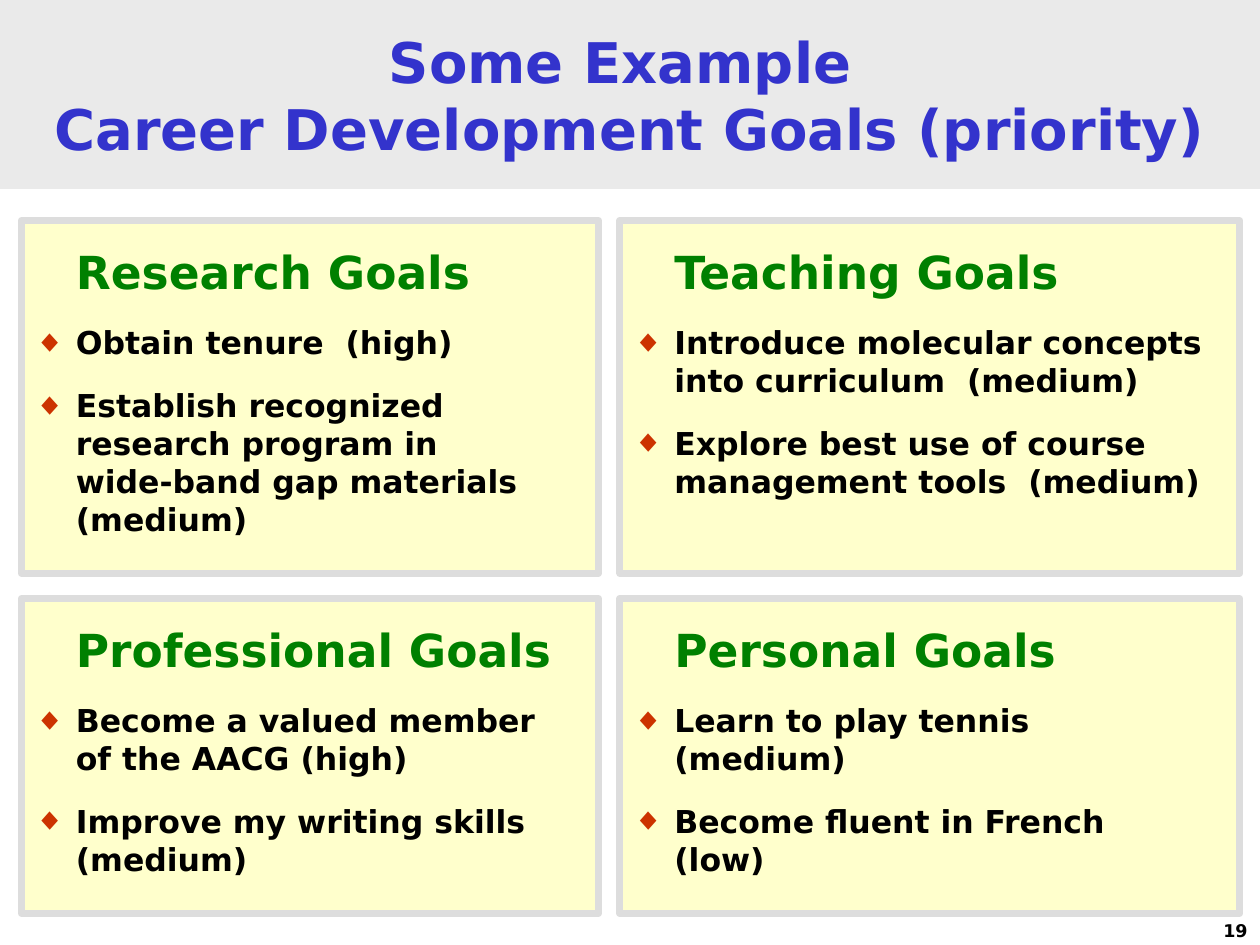
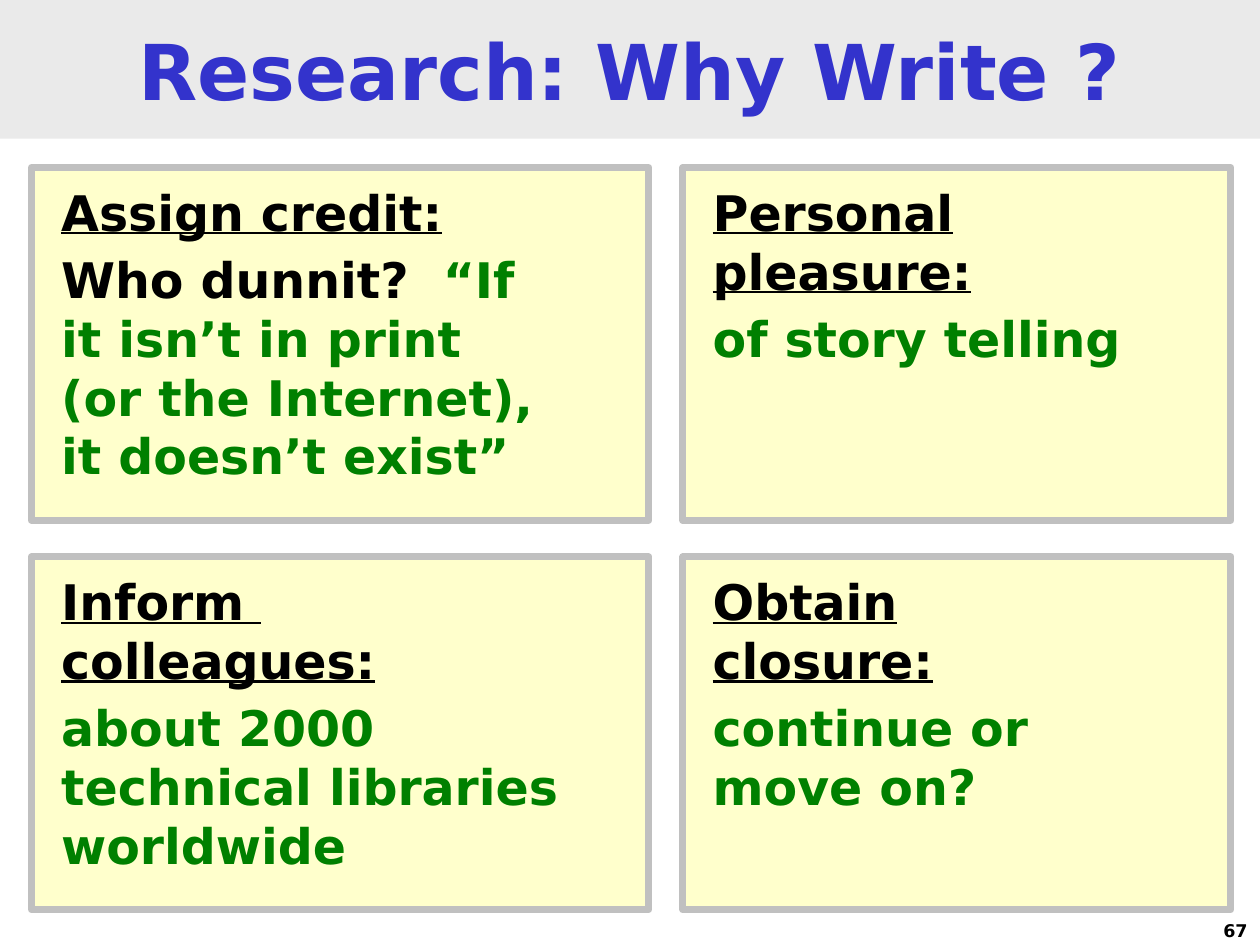
from itertools import product

from lxml.etree import SubElement
from pptx import Presentation
from pptx.dml.color import RGBColor
from pptx.enum.shapes import MSO_SHAPE as Shape
from pptx.enum.text import MSO_ANCHOR as Anchor, PP_ALIGN as Align
from pptx.oxml.ns import qn
from pptx.util import Pt

FONT = "DejaVu Sans"
BULLET_FONT = "Arial"

BLACK = RGBColor(0x00, 0x00, 0x00)
BLUE = RGBColor(0x33, 0x33, 0xCC)
GREEN = RGBColor(0x00, 0x80, 0x00)
RUST = RGBColor(0xCC, 0x33, 0x00)
BAND_GREY = RGBColor(0xEA, 0xEA, 0xEA)
CREAM = RGBColor(0xFF, 0xFF, 0xCC)
PALE_BORDER = RGBColor(0xDD, 0xDD, 0xDD)
SILVER_BORDER = RGBColor(0xC0, 0xC0, 0xC0)

SLIDE_W, SLIDE_H = 720, 540
BULLET_INDENT = 24

GOAL_HEADING = {"size": Pt(26)}
GOAL_ITEM = {"size": Pt(18)}
REASON_HEADING = {"size": Pt(28), "underline": True}
REASON_BODY = {"size": Pt(28)}
PAGE_NUMBER = {"size": Pt(10)}

# "\v" marks a line break inside a paragraph.
GOALS = [
    ("Research Goals", [
        "Obtain tenure  (high)",
        "Establish recognized\vresearch program in\vwide-band gap materials\v(medium)"]),
    ("Teaching Goals", [
        "Introduce molecular concepts\vinto curriculum  (medium)",
        "Explore best use of course\vmanagement tools  (medium)"]),
    ("Professional Goals", [
        "Become a valued member\vof the AACG (high)",
        "Improve my writing skills\v(medium)"]),
    ("Personal Goals", [
        "Learn to play tennis\v(medium)",
        "Become fluent in French\v(low)"]),
]

REASONS = [
    ("Assign credit:", [
        ("Who dunnit?  ", BLACK),
        ("“If\vit isn’t in print\v(or the Internet),\vit doesn’t exist”", GREEN)]),
    ("Personal\vpleasure:", [("of story telling", GREEN)]),
    ("Inform \vcolleagues:", [("about 2000\vtechnical libraries\vworldwide", GREEN)]),
    ("Obtain\vclosure:", [("continue or\vmove on?", GREEN)]),
]


def grid(left, top, widths, heights, col_gap, row_gap):
    """Return the boxes (left, top, width, height) of a grid, row by row."""
    return [(left + sum(widths[:col]) + col * col_gap,
             top + sum(heights[:row]) + row * row_gap,
             widths[col], heights[row])
            for row, col in product(range(len(heights)), range(len(widths)))]


def write(paragraph, text, style, color):
    """Append text to a paragraph, breaking lines at each vertical tab."""
    for index, line in enumerate(text.split("\v")):
        if index:
            paragraph.add_line_break()
        run = paragraph.add_run()
        run.text = line
        run.font.name = FONT
        run.font.bold = True
        run.font.color.rgb = color
        for name, value in style.items():
            setattr(run.font, name, value)


def set_indent(paragraph, bulleted):
    props = paragraph._p.get_or_add_pPr()
    props.set("marL", str(Pt(BULLET_INDENT)))
    if bulleted:
        props.set("indent", str(-Pt(BULLET_INDENT)))
        color = SubElement(props, qn("a:buClr"))
        SubElement(color, qn("a:srgbClr"), val=str(RUST))
        SubElement(props, qn("a:buFont"), typeface=BULLET_FONT)
        SubElement(props, qn("a:buChar"), char="◆")


def add_panel(slide, box, fill, border=None, **frame_format):
    """Add a rectangle and return its text frame."""
    panel = slide.shapes.add_shape(Shape.RECTANGLE, *map(Pt, box))
    panel.shadow.inherit = False
    panel.fill.solid()
    panel.fill.fore_color.rgb = fill
    if border is None:
        panel.line.fill.background()
    else:
        panel.line.color.rgb = border
        panel.line.width = Pt(4)
    frame = panel.text_frame
    frame.word_wrap = True
    for name, value in frame_format.items():
        setattr(frame, name, value)
    frame.paragraphs[0].alignment = Align.LEFT
    return frame


def add_left_paragraph(frame, space_before):
    paragraph = frame.add_paragraph()
    paragraph.alignment = Align.LEFT
    paragraph.space_before = Pt(space_before)
    return paragraph


def add_title_band(slide, title, height, size):
    frame = add_panel(slide, (0, 0, SLIDE_W, height), BAND_GREY,
                      vertical_anchor=Anchor.MIDDLE)
    frame.paragraphs[0].alignment = Align.CENTER
    write(frame.paragraphs[0], title, {"size": Pt(size)}, BLUE)


def add_page_number(slide, number):
    width, height = 150, 18
    box = (SLIDE_W - width, SLIDE_H - height, width, height)
    frame = slide.shapes.add_textbox(*map(Pt, box)).text_frame
    frame.word_wrap = True
    frame.paragraphs[0].alignment = Align.RIGHT
    write(frame.paragraphs[0], str(number), PAGE_NUMBER, BLACK)


def add_goal_panel(slide, box, heading, items):
    frame = add_panel(slide, box, CREAM, PALE_BORDER,
                      vertical_anchor=Anchor.TOP, margin_top=Pt(13.2))
    heading_line = frame.paragraphs[0]
    set_indent(heading_line, bulleted=False)
    write(heading_line, heading, GOAL_HEADING, GREEN)
    for item in items:
        paragraph = add_left_paragraph(frame, 14.4)
        set_indent(paragraph, bulleted=True)
        write(paragraph, item, GOAL_ITEM, BLACK)


def add_reason_panel(slide, box, heading, pieces):
    frame = add_panel(slide, box, CREAM, SILVER_BORDER, vertical_anchor=Anchor.TOP,
                      margin_top=Pt(8.4), margin_left=Pt(17))
    write(frame.paragraphs[0], heading, REASON_HEADING, BLACK)
    body = add_left_paragraph(frame, 4.8)
    for text, color in pieces:
        write(body, text, REASON_BODY, color)


def add_panel_slide(deck, title, band, number, boxes, add_content, contents):
    """Add a slide with a title band, four panels and a page number."""
    slide = deck.slides.add_slide(deck.slide_layouts[6])
    add_title_band(slide, title, *band)
    for box, (heading, body) in zip(boxes, contents):
        add_content(slide, box, heading, body)
    add_page_number(slide, number)


def main():
    deck = Presentation()
    deck.slide_width, deck.slide_height = Pt(SLIDE_W), Pt(SLIDE_H)
    add_panel_slide(deck, "Some Example \vCareer Development Goals (priority)",
                    (108, 32), 19,
                    grid(12.24, 126, (329.76, 354.24), (201.6, 180), 12.24, 14.4),
                    add_goal_panel, GOALS)
    add_panel_slide(deck, "Research: Why Write ?", (79.2, 44), 67,
                    grid(18, 95.76, (352.8, 313.2), (201.6, 201.6), 19.44, 20.88),
                    add_reason_panel, REASONS)
    deck.save("out.pptx")


if __name__ == "__main__":
    main()
